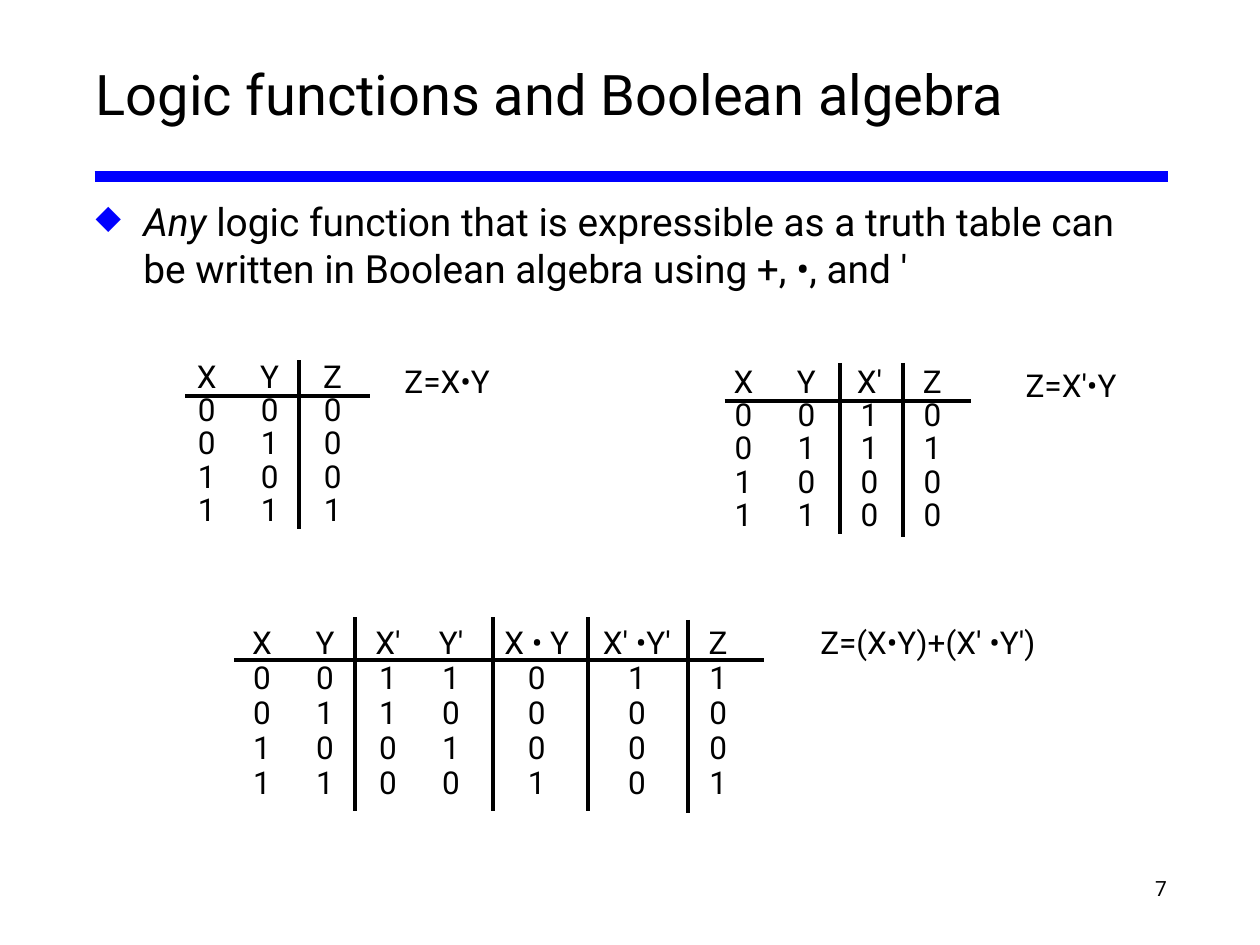
import pptx
import pptx.util
import pptx.dml.color
import pptx.enum.shapes
import pptx.enum.text
import pptx.oxml.ns
import lxml.etree

BLACK = pptx.dml.color.RGBColor(0x00, 0x00, 0x00)
BLUE = pptx.dml.color.RGBColor(0x00, 0x00, 0xFF)
ALIGN = pptx.enum.text.PP_ALIGN
ANCHOR = pptx.enum.text.MSO_ANCHOR
COLUMNS, ROWS = 100, 75


def write(paragraph, text, size=18, italic=False, align=ALIGN.LEFT, spacing=None):
    """Append a formatted run to a paragraph."""
    run = paragraph.add_run()
    run.text = text
    run.font.name = "Roboto"
    run.font.size = pptx.util.Pt(size)
    run.font.italic = italic
    run.font.color.rgb = BLACK
    paragraph.alignment = align
    if spacing:
        paragraph.line_spacing = pptx.util.Pt(spacing)


class LogicSlide:
    """Draw elements on a 100 by 75 grid with one shared style."""

    def __init__(self, deck):
        self.column = deck.slide_width / COLUMNS
        self.row = deck.slide_height / ROWS
        self.slide = deck.slides.add_slide(deck.slide_layouts[6])

    def x(self, columns):
        return round(columns * self.column)

    def y(self, rows):
        return round(rows * self.row)

    def box(self, left, top, width, height, inset=(0.02, 0.03), anchor=ANCHOR.TOP):
        frame = self.slide.shapes.add_textbox(
            self.x(left), self.y(top), self.x(width), self.y(height)).text_frame
        frame.word_wrap = True
        frame.vertical_anchor = anchor
        frame.margin_left = frame.margin_right = pptx.util.Inches(inset[0])
        frame.margin_top = frame.margin_bottom = pptx.util.Inches(inset[1])
        return frame.paragraphs[0]

    def bullet(self, paragraph):
        paragraph.space_before = pptx.util.Pt(15)
        properties = paragraph._p.get_or_add_pPr()
        indent = pptx.util.Inches(0.38)
        properties.set("marL", str(indent))
        properties.set("indent", str(-indent))
        qn = pptx.oxml.ns.qn
        tint = lxml.etree.SubElement(properties, qn("a:buClr"))
        lxml.etree.SubElement(tint, qn("a:srgbClr"), val=str(BLUE))
        lxml.etree.SubElement(properties, qn("a:buSzPct"), val="85000")
        lxml.etree.SubElement(properties, qn("a:buChar"), char="◆")

    def rule(self, x1, y1, x2, y2, color=BLACK, weight=2.25):
        line = self.slide.shapes.add_connector(
            pptx.enum.shapes.MSO_CONNECTOR.STRAIGHT,
            self.x(x1), self.y(y1), self.x(x2), self.y(y2))
        line.line.color.rgb = color
        line.line.width = pptx.util.Pt(weight)
        lxml.etree.SubElement(line._element.spPr, pptx.oxml.ns.qn("a:effectLst"))

    def truth_table(self, left, top, widths, pitch, headers, values):
        lines = [headers] + [list(bits) for bits in values]
        height = pptx.util.Pt(pitch)
        table = self.slide.shapes.add_table(
            len(lines), len(headers), self.x(left), self.y(top),
            self.x(sum(widths)), height * len(lines)).table
        table.first_row = table.horz_banding = False
        for column, width in zip(table.columns, widths):
            column.width = self.x(width)
        for row, line in zip(table.rows, lines):
            row.height = height
            for cell, text in zip(row.cells, line):
                cell.fill.background()
                cell.margin_left = cell.margin_right = 0
                cell.margin_top = cell.margin_bottom = 0
                write(cell.text_frame.paragraphs[0], text,
                      align=ALIGN.CENTER, spacing=pitch)

    def formula(self, left, top, width, text):
        write(self.box(left, top, width, 4.2), text, spacing=19)


def main():
    deck = pptx.Presentation()
    deck.slide_width = pptx.util.Inches(10)
    deck.slide_height = pptx.util.Inches(7.5)
    page = LogicSlide(deck)

    page.rule(7.5, 14, 92.7, 14, color=BLUE, weight=6)
    write(page.box(88.9, 69, 3.9, 3.6), "7", size=12, align=ALIGN.RIGHT, spacing=16)
    title = page.box(6.6, 3.3, 86.8, 8.2, inset=(0.1, 0.05), anchor=ANCHOR.MIDDLE)
    write(title, "Logic functions and Boolean algebra", size=32)
    claim = page.box(6.6, 15.2, 86.8, 11.2, inset=(0.1, 0.05))
    page.bullet(claim)
    write(claim, "Any", size=22.2, italic=True)
    write(claim, " logic function that is expressible as a truth table can be "
                 "written in Boolean algebra using +, •, and '", size=22.2)

    page.truth_table(13.9, 28.8, [5] * 3, 19, ["X", "Y", "Z"],
                     ["000", "010", "100", "111"])
    page.truth_table(56.5, 29.2, [5] * 4, 19, ["X", "Y", "X'", "Z"],
                     ["0010", "0111", "1000", "1100"])
    page.truth_table(18.3, 49.8, [5, 5, 5, 5, 8.6, 7.3, 5.6], 20,
                     ["X", "Y", "X'", "Y'", "X • Y", "X' •Y'", "Z"],
                     ["0011011", "0110000", "1001000", "1100101"])

    for left, right, level in [(14.7, 29.4, 31.4), (57.5, 77.1, 31.8),
                               (18.6, 60.6, 52.35)]:
        page.rule(left, level, right, level)
    for across, top, bottom in [(23.7, 28.6, 42), (66.7, 28.8, 42.4),
                                (71.7, 28.8, 42.6), (28.2, 49, 64.4),
                                (39.1, 49, 64.4), (46.7, 49, 64.4),
                                (54.6, 49.2, 64.5)]:
        page.rule(across, top, across, bottom)

    page.formula(31.9, 28.8, 8.9, "Z=X•Y")
    page.formula(81.2, 29.1, 8.9, "Z=X'•Y")
    page.formula(64.9, 49.5, 22.8, "Z=(X•Y)+(X' •Y')")
    deck.save("out.pptx")


if __name__ == "__main__":
    main()
